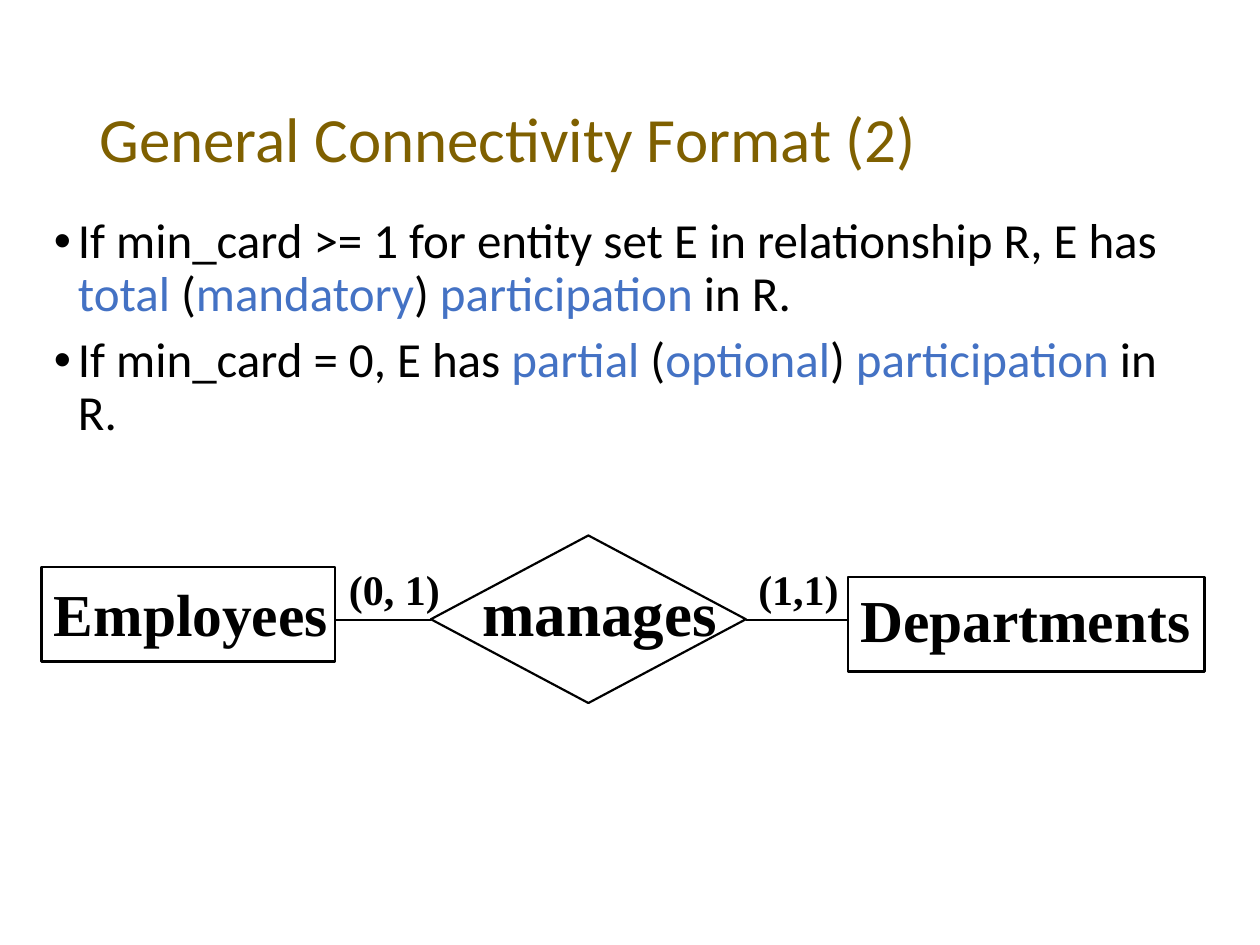
from lxml import etree
from pptx import Presentation
from pptx.dml.color import RGBColor as RGB
from pptx.enum.shapes import MSO_CONNECTOR as LINE, MSO_SHAPE as SHAPE
from pptx.enum.text import MSO_ANCHOR as ANCHOR, MSO_AUTO_SIZE as FIT, PP_ALIGN as ALIGN
from pptx.oxml.ns import qn
from pptx.util import Inches, Pt

# Content
COLORS = {"title": "7F6000", "text": "000000", "key": "4472C4"}
TITLE = "General Connectivity Format (2)"
# Each bullet is a list of runs, where every second run is a key term
BULLETS = [
    ["If min_card >= 1 for entity set E in relationship R, E has ", "total",
     " (", "mandatory", ") ", "participation", " in R."],
    ["If min_card = 0, E has ", "partial",
     " (", "optional", ") ", "participation", " in R."],
]
# Outlines and labels: left, top, width, height
NODES = {
    "Employees": (SHAPE.RECTANGLE, (0.33, 4.5, 2.33, 0.75)),
    "manages": (SHAPE.DIAMOND, (3.42, 4.25, 2.5, 1.33)),
    "Departments": (SHAPE.RECTANGLE, (6.73, 4.58, 2.83, 0.75)),
}
LABELS = [
    ("Employees", 34, (0.33, 4.53, 2.4, 0.67)),
    ("manages", 36, (3.73, 4.5, 2.06, 0.7)),
    ("Departments", 34, (6.73, 4.58, 2.82, 0.67)),
    ("(0, 1)", 24, (2.67, 4.42, 0.92, 0.5)),
    ("(1,1)", 24, (5.92, 4.42, 0.84, 0.5)),
]
# Links: diamond side, x at the diamond, x at the entity
LINKS = [(1, 3.42, 2.67), (3, 5.92, 6.73)]
LINK_Y = 4.92


def style(run, size, color, face="Calibri", bold=False):
    font = run.font
    font.size, font.name, font.bold = Pt(size), face, bold
    font.color.rgb = RGB.from_string(COLORS[color])


def stroke(shape, width):
    shape.line.color.rgb = RGB.from_string(COLORS["text"])
    shape.line.width = Pt(width)


def bullet(para):
    props = para._p.get_or_add_pPr()
    props.set("marL", str(Inches(0.19)))
    props.set("indent", str(-Inches(0.19)))
    etree.SubElement(props, qn("a:buFont")).set("typeface", "Arial")
    etree.SubElement(props, qn("a:buChar")).set("char", "•")


deck = Presentation()
deck.slide_width, deck.slide_height = Inches(10), Inches(7.5)
slide = deck.slides.add_slide(deck.slide_layouts[5])
shapes = slide.shapes

# Title
title = shapes.title
title.left, title.top, title.width, title.height = map(Inches, (0.69, 0.4, 8.63, 1.45))
frame = title.text_frame
frame.text = TITLE
frame.vertical_anchor = ANCHOR.MIDDLE
para = frame.paragraphs[0]
para.alignment, para.line_spacing = ALIGN.LEFT, 0.9
style(para.runs[0], 36, "title")

# Bullets
frame = shapes.add_textbox(*map(Inches, (0.33, 1.67, 9.33, 5.5))).text_frame
frame.word_wrap = True
for i, parts in enumerate(BULLETS):
    para = frame.add_paragraph() if i else frame.paragraphs[0]
    para.line_spacing, para.space_before = 0.9, Pt(7.5)
    bullet(para)
    for j, part in enumerate(parts):
        run = para.add_run()
        run.text = part
        style(run, 28, "key" if j % 2 else "text")

# Entity and relationship outlines
nodes = {}
for name, (kind, box) in NODES.items():
    node = nodes[name] = shapes.add_shape(kind, *map(Inches, box))
    node.fill.background()
    node.shadow.inherit = False
    stroke(node, 1.25)

# Names and cardinalities
for text, size, box in LABELS:
    frame = shapes.add_textbox(*map(Inches, box)).text_frame
    frame.word_wrap = False
    frame.auto_size = FIT.SHAPE_TO_FIT_TEXT
    frame.text = text
    style(frame.paragraphs[0].runs[0], size, "text", "Times New Roman", True)

# Links from the diamond to the entities
for side, start, end in LINKS:
    link = shapes.add_connector(LINE.STRAIGHT, *map(Inches, (start, LINK_Y, end, LINK_Y)))
    link.begin_connect(nodes["manages"], side)
    link.begin_y = link.end_y = Inches(LINK_Y)
    stroke(link, 0.75)
    etree.SubElement(link._element.spPr, qn("a:effectLst"))

deck.save("out.pptx")
